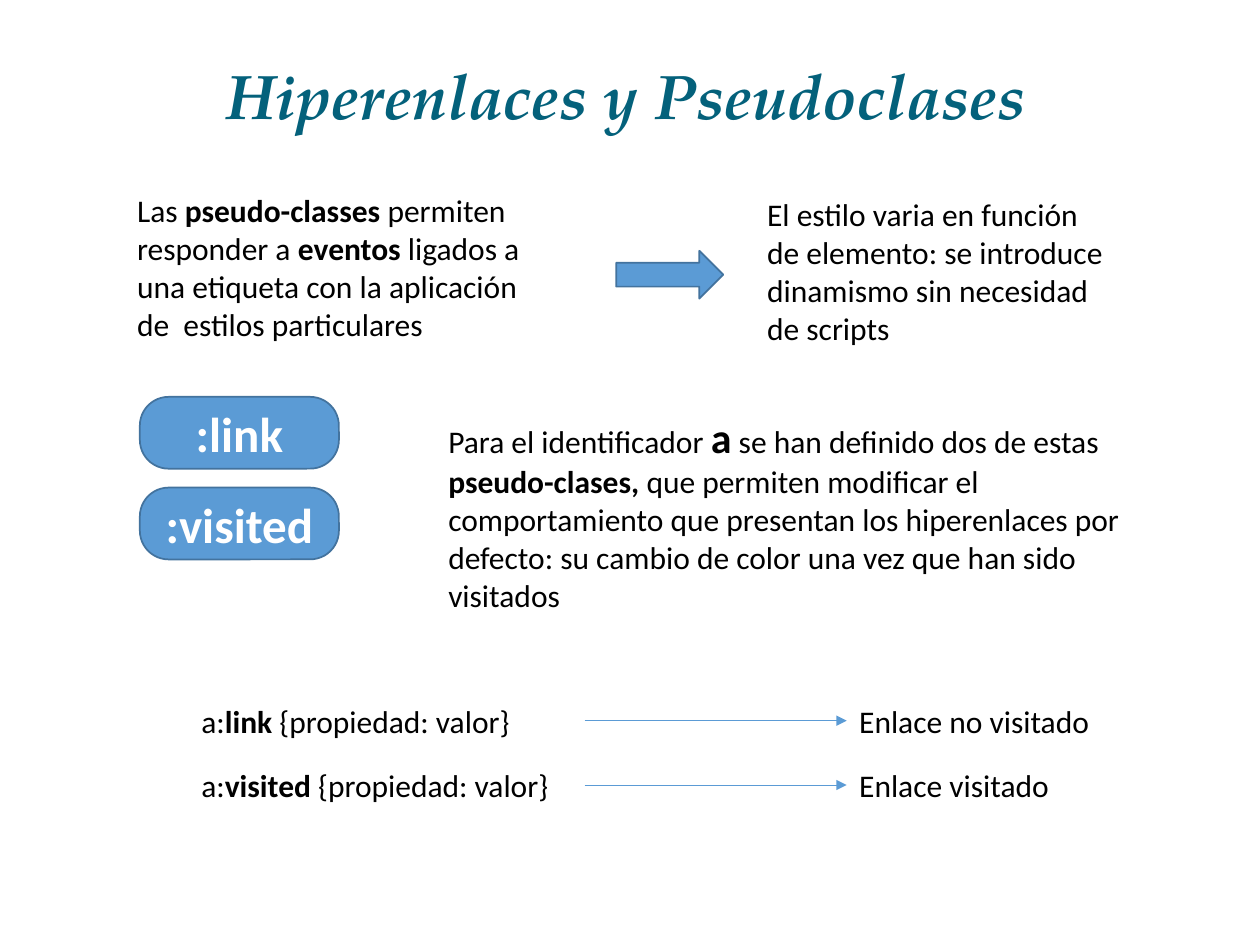
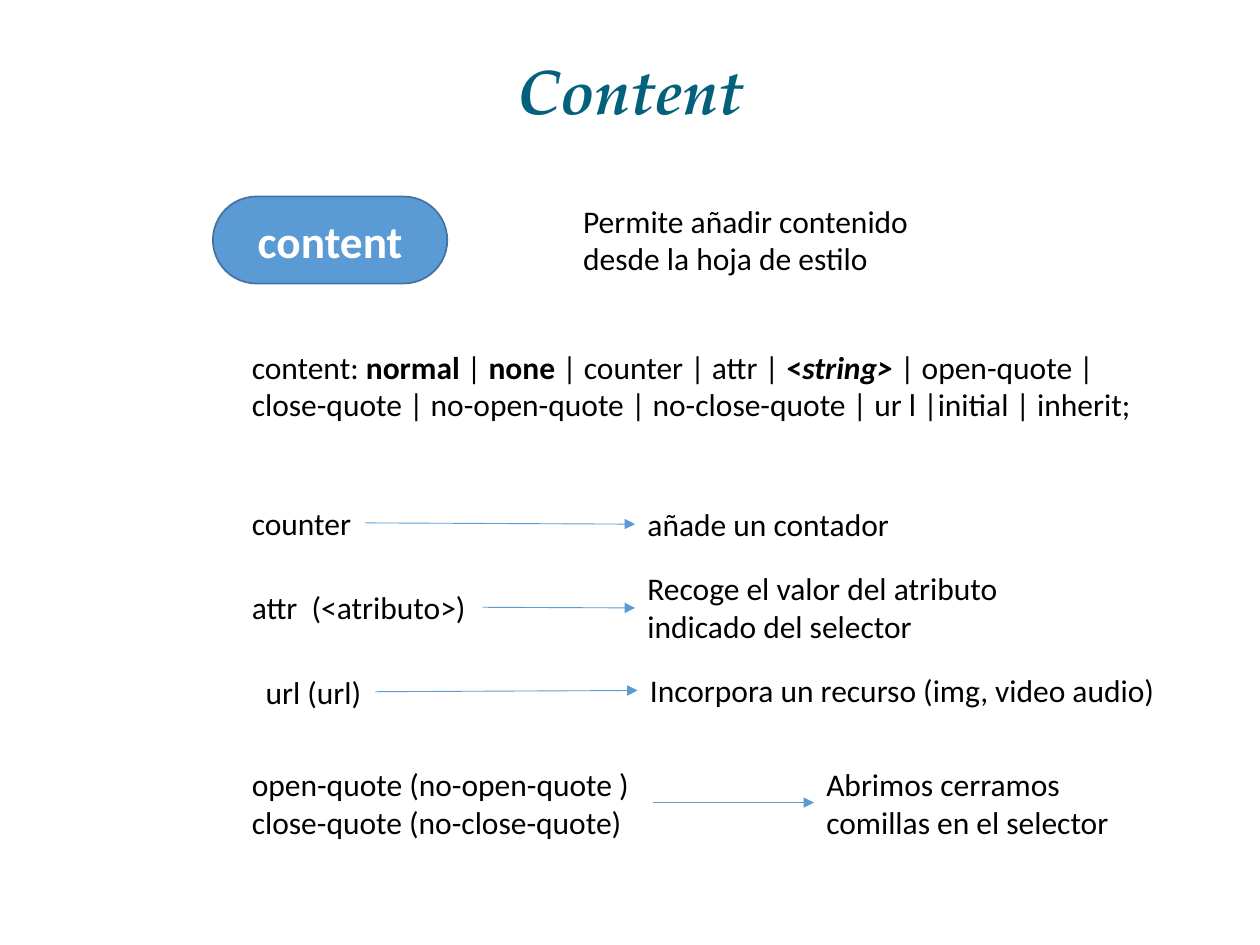
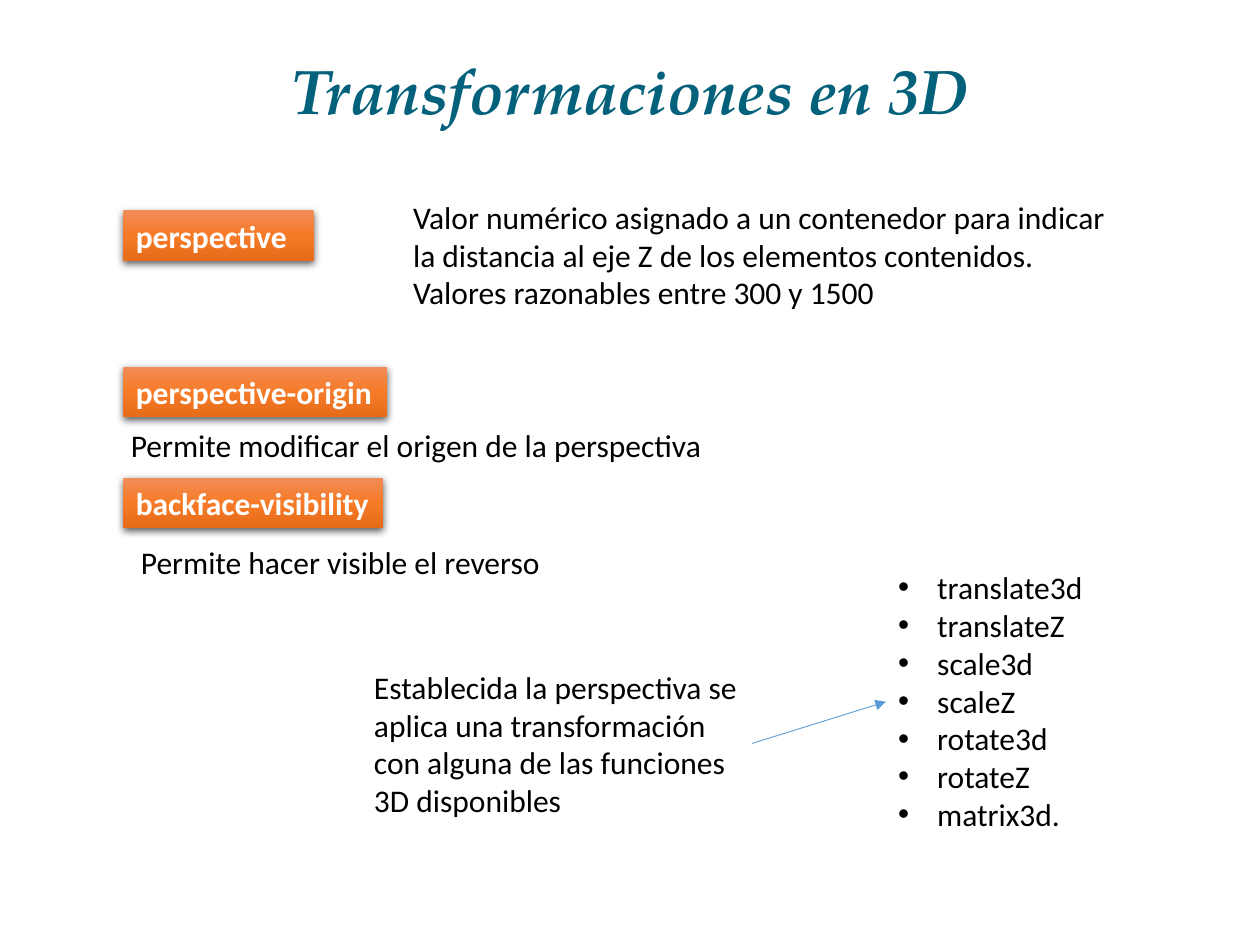
from copy import deepcopy

from lxml import etree
from pptx import Presentation
from pptx import util as u
from pptx.dml.color import RGBColor
from pptx.enum import shapes, text
from pptx.oxml.ns import qn

COLORS = {"title": "04617B", "body": "000000", "light": "FFFFFF",
          "accent": "5B9BD5", "edge": "43739E", "shadow": "000000"}
TAG_STOPS = [(0, "F18C57"), (0.5, "F67B28"), (1, "E56C19")]
TITLE_FONT, BODY_FONT = "TeX Gyre Pagella", "Calibri"
COLS, ROWS = 100, 75
LINE = 4

B = {"bold": True}
BI = {"bold": True, "italic": True}

SELECTORS = [
    (["a:", ("link", B), " {propiedad: valor}"], "Enlace no visitado", 20.5),
    (["a:", ("visited ", B), "{propiedad: valor}"], "Enlace visitado", 17.2),
]
PSEUDO_CLASSES = [":link", ":visited"]
EVENTS = ["Las ", ("pseudo-classes ", B), "permiten responder a ", ("eventos", B),
          " ligados a una etiqueta con la aplicación de  estilos particulares"]
DYNAMISM = ("El estilo varia en función de elemento: se introduce dinamismo "
            "sin necesidad de scripts")
IDENTIFIER = ["Para el identificador ", ("a", {"bold": True, "size": 24}),
              " se han definido dos de estas ", ("pseudo-clases,", B),
              " que permiten modificar el comportamiento que presentan los "
              "hiperenlaces por defecto: su cambio de color una vez que han sido visitados"]

SYNTAX = ["content: ", ("normal", B), " | ", ("none", B), " | counter | attr | ",
          ("<", B), ("string> ", BI),
          "| open-quote | close-quote | no-open-quote | no-close-quote "
          "| ur l |initial | inherit;"]
VALUES = [
    ("counter", (19, 39.5, 10), "añade un contador", (50.4, 39.6, 21.4, LINE), False),
    ("attr  (<atributo>)", (19, 46.2, 19.3),
     "Recoge el valor del atributo indicado del selector", (50.4, 44.7, 31.1, 7.1), True),
    ("url (url)", (20.1, 52.9, 9.7), "Incorpora un recurso (img, video audio)",
     (50.6, 52.8, 42.6, LINE), False),
]
QUOTES = [["open-quote (no-open-quote )"], ["close-quote (no-close-quote)"]]

TAGS = [("perspective", 16.7, 15.1), ("perspective-origin", 29.1, 20.9),
        ("backface-visibility", 37.9, 20.6)]
PERSPECTIVE = [["Valor numérico asignado a un contenedor para indicar la distancia "
                "al eje Z de los elementos contenidos."],
               ["Valores razonables entre 300 y 1500"]]
TAG_NOTES = [("Permite modificar el origen de la perspectiva", (9.4, 33.3, 47.9, LINE)),
             ("Permite hacer visible el reverso", (10.2, 42.6, 34, LINE))]
APPLY = ("Establecida la perspectiva se aplica una transformación con alguna de "
         "las funciones 3D disponibles")
FUNCTIONS = ["translate3d", "translateZ", "scale3d", "scaleZ", "rotate3d",
             "rotateZ", "matrix3d."]

prs = Presentation()
prs.slide_width, prs.slide_height = u.Inches(10), u.Inches(7.5)


def x_at(cols):
    return round(prs.slide_width * cols / COLS)


def y_at(rows):
    return round(prs.slide_height * rows / ROWS)


def grid(box):
    left, top, width, height = box
    return x_at(left), y_at(top), x_at(width), y_at(height)


def rgb(name):
    return RGBColor.from_string(COLORS[name])


def write(sp, content, size=18, font=BODY_FONT, color="body", bold=False, italic=False,
          align=text.PP_ALIGN.LEFT, anchor=text.MSO_ANCHOR.TOP, spacing=None,
          wrap=True, grow=False, bullet=None):
    tf = sp.text_frame
    tf.word_wrap = wrap
    tf.vertical_anchor = anchor
    if grow:
        tf.auto_size = text.MSO_AUTO_SIZE.SHAPE_TO_FIT_TEXT
    if isinstance(content, str):
        content = [content]
    paragraphs = content if isinstance(content[0], list) else [content]
    for i, runs in enumerate(paragraphs):
        p = tf.add_paragraph() if i else tf.paragraphs[0]
        if bullet:
            pPr = p._p.get_or_add_pPr()
            indent = u.Inches(0.31)
            pPr.set("marL", str(indent))
            pPr.set("indent", str(-indent))
            etree.SubElement(pPr, qn("a:buFont"), typeface="Arial")
            etree.SubElement(pPr, qn("a:buChar"), char=bullet)
        p.alignment = align
        if spacing:
            p.line_spacing = spacing
        for run in runs:
            words, own = (run, {}) if isinstance(run, str) else run
            r = p.add_run()
            r.text = words
            r.font.name = font
            r.font.size = u.Pt(own.get("size", size))
            r.font.bold = own.get("bold", bold)
            r.font.italic = own.get("italic", italic)
            r.font.color.rgb = rgb(color)


def label(s, content, box, grow=True, **fmt):
    write(s.shapes.add_textbox(*grid(box)), content, grow=grow, **fmt)


def new_slide(title, box=(6.9, 4, 86.2, 7), spacing=0.9):
    s = prs.slides.add_slide(prs.slide_layouts[6])
    label(s, title, box, grow=False, size=36, font=TITLE_FONT, color="title", bold=True,
          italic=True, align=text.PP_ALIGN.CENTER, anchor=text.MSO_ANCHOR.MIDDLE,
          spacing=spacing)
    return s


def block(s, kind, box):
    sp = s.shapes.add_shape(kind, *grid(box))
    sp.shadow.inherit = False
    sp.fill.solid()
    sp.fill.fore_color.rgb = rgb("accent")
    sp.line.color.rgb = rgb("edge")
    sp.line.width = u.Pt(1)
    return sp


def pill(s, name, box, size, rounding):
    sp = block(s, shapes.MSO_SHAPE.ROUNDED_RECTANGLE, box)
    sp.adjustments[0] = rounding
    write(sp, name, size=size, color="light", bold=True,
          align=text.PP_ALIGN.CENTER, anchor=text.MSO_ANCHOR.MIDDLE)


def tag(s, name, box):
    sp = block(s, shapes.MSO_SHAPE.RECTANGLE, box)
    sp.line.fill.background()
    sp.fill.gradient()
    sp.fill.gradient_angle = 270
    spPr = sp._element.spPr
    stops = spPr.find(".//" + qn("a:gsLst"))
    stops.append(deepcopy(stops[0]))
    for stop, (position, color) in zip(sp.fill.gradient_stops, TAG_STOPS):
        stop.position = position
        stop.color.rgb = RGBColor.from_string(color)
    shadow = etree.SubElement(spPr.find(qn("a:effectLst")), qn("a:outerShdw"),
                              blurRad=str(u.Pt(4.5)), dist=str(u.Pt(1.5)),
                              dir="5400000", algn="ctr", rotWithShape="0")
    tint = etree.SubElement(shadow, qn("a:srgbClr"), val=COLORS["shadow"])
    etree.SubElement(tint, qn("a:alpha"), val="63000")
    write(sp, name, color="light", bold=True, grow=True)


def arrow(s, x1, y1, x2, y2):
    c = s.shapes.add_connector(shapes.MSO_CONNECTOR.STRAIGHT,
                               x_at(x1), y_at(y1), x_at(x2), y_at(y2))
    c.line.color.rgb = rgb("accent")
    c.line.width = u.Pt(0.5)
    etree.SubElement(c.line._get_or_add_ln(), qn("a:tailEnd"), type="triangle")
    etree.SubElement(c._element.spPr, qn("a:effectLst"))


def links_slide():
    s = new_slide("Hiperenlaces y Pseudoclases", (6.6, 3, 86.2, 9), spacing=1)
    label(s, EVENTS, (9.9, 14.7, 35, 13.1))
    block(s, shapes.MSO_SHAPE.RIGHT_ARROW, (48.9, 19.9, 8.5, 3.8))
    label(s, DYNAMISM, (59.9, 15, 29.4, 13.1))
    for i, name in enumerate(PSEUDO_CLASSES):
        pill(s, name, (11.1, 31.5 + 7.2 * i, 15.8, 5.7), 28, 0.4)
    label(s, IDENTIFIER, (34.6, 32.2, 58.3, 17.2))
    left, width, right = 15, 31.4, 67.2
    for i, (rule, meaning, meaning_width) in enumerate(SELECTORS):
        top = 55.2 + 5.1 * i
        label(s, rule, (left, top, width, LINE))
        arrow(s, left + width, top + LINE / 2, right, top + LINE / 2)
        label(s, meaning, (right, top, meaning_width, LINE), wrap=False)


def content_slide():
    s = new_slide("Content")
    pill(s, "content", (16.9, 15.6, 18.6, 6.9), 25.9, 0.5)
    label(s, "Permite añadir contenido desde la hoja de estilo", (45.3, 15.5, 31.6, 7.1))
    label(s, SYNTAX, (19, 27.1, 73.7, 7.1))
    for value, (left, top, width), meaning, box, wrap in VALUES:
        label(s, value, (left, top, width, LINE), wrap=False)
        label(s, meaning, box, wrap=wrap)
        arrow(s, left + width, top + LINE / 2, box[0], box[1] + box[3] / 2)
    label(s, QUOTES, (19, 60.2, 32.9, 7.1))
    arrow(s, 51.8, 63.7, 64.6, 63.7)
    label(s, "Abrimos cerramos comillas en el selector", (64.6, 60.2, 24.6, 7.1))


def transforms_slide():
    s = new_slide("Transformaciones en 3D")
    for name, top, width in TAGS:
        tag(s, name, (9.8, top, width, LINE))
    label(s, PERSPECTIVE, (31.8, 15.2, 57.5, 10.1))
    for note, box in TAG_NOTES:
        label(s, note, box, wrap=False)
    label(s, APPLY, (28.7, 52.5, 31, 13.1))
    arrow(s, 59.7, 59, 70.3, 55.7)
    label(s, [[name] for name in FUNCTIONS], (70.3, 44.6, 20.5, 22.2), bullet="•")


if __name__ == "__main__":
    links_slide()
    content_slide()
    transforms_slide()
    prs.save("out.pptx")
